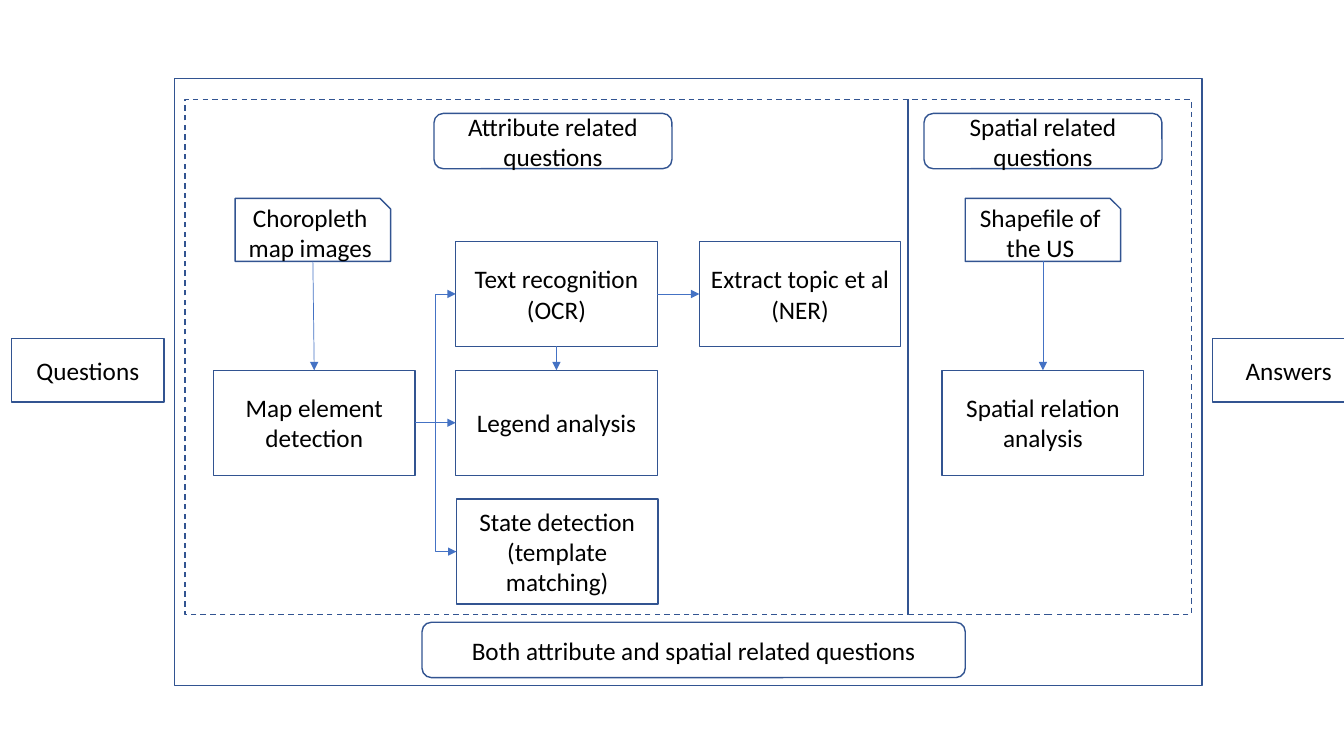
from dataclasses import dataclass

from lxml import etree
from pptx import Presentation
from pptx import util as u
from pptx.dml.color import RGBColor
from pptx.enum import dml, shapes, text
from pptx.oxml.ns import qn


@dataclass(frozen=True)
class Theme:
    font: str = "Calibri"
    size: float = 18
    ink: RGBColor = RGBColor.from_string("000000")
    outline: RGBColor = RGBColor.from_string("325491")
    arrow: RGBColor = RGBColor.from_string("4472C4")
    outline_width: float = 1
    arrow_width: float = 0.5


TOP, LEFT, BOTTOM, RIGHT = range(4)  # connection sites
RECT = shapes.MSO_SHAPE.RECTANGLE
ROUNDED = shapes.MSO_SHAPE.ROUNDED_RECTANGLE
SNIPPED = shapes.MSO_SHAPE.SNIP_1_RECTANGLE
STRAIGHT = shapes.MSO_CONNECTOR.STRAIGHT
ELBOW = shapes.MSO_CONNECTOR.ELBOW


class Diagram:
    def __init__(self, slide, theme):
        self.slide, self.theme = slide, theme

    def frame(self, left, top, width, height, kind=RECT, dashed=False):
        area = map(u.Pt, (left, top, width, height))
        shape = self.slide.shapes.add_shape(kind, *area)
        shape.shadow.inherit = False
        shape.fill.background()
        shape.line.color.rgb = self.theme.outline
        shape.line.width = u.Pt(self.theme.outline_width)
        if dashed:
            shape.line.dash_style = dml.MSO_LINE.DASH
        return shape

    def box(self, label, left, top, width, height, kind=RECT):
        shape = self.frame(left, top, width, height, kind)
        frame = shape.text_frame
        frame.word_wrap = True
        frame.vertical_anchor = text.MSO_ANCHOR.MIDDLE
        frame.text = label
        for paragraph in frame.paragraphs:
            paragraph.alignment = text.PP_ALIGN.CENTER
            for run in paragraph.runs:
                run.font.name = self.theme.font
                run.font.size = u.Pt(self.theme.size)
                run.font.color.rgb = self.theme.ink
        return shape

    def arrow(self, source, source_site, target, target_site, kind=STRAIGHT):
        link = self.slide.shapes.add_connector(kind, 0, 0, 0, 0)
        link.begin_connect(source, source_site)
        link.end_connect(target, target_site)
        link.line.color.rgb = self.theme.arrow
        link.line.width = u.Pt(self.theme.arrow_width)
        line = link.line._get_or_add_ln()
        etree.SubElement(line, qn("a:tailEnd"), type="triangle")
        etree.SubElement(link._element.spPr, qn("a:effectLst"))


deck = Presentation()
deck.slide_width, deck.slide_height = u.Pt(960), u.Pt(540)
diagram = Diagram(deck.slides.add_slide(deck.slide_layouts[6]), Theme())

# Processing steps on a common row grid
STEP = (144, 75)
upper, middle, lower = (172.5 + 92 * row for row in range(3))
detect_x, read_x, extract_x, spatial_x = 152.5, 325.5, 499.5, 673
map_detection = diagram.box("Map element detection", detect_x, middle, *STEP)
ocr = diagram.box("Text recognition\n(OCR)", read_x, upper, *STEP)
ner = diagram.box("Extract topic et al\n(NER)", extract_x, upper, *STEP)
legend = diagram.box("Legend analysis", read_x, middle, *STEP)
state_detection = diagram.box(
    "State detection\n(template matching)", read_x + 0.5, lower, *STEP)
spatial_analysis = diagram.box(
    "Spatial relation analysis", spatial_x, middle, *STEP)

# Input data
DATA_TOP, DATA = 141.75, (111, 45)
map_images = diagram.box(
    "Choropleth map images", 168, DATA_TOP, *DATA, SNIPPED)
shapefile = diagram.box("Shapefile of the US", 689.5, DATA_TOP, *DATA, SNIPPED)

# Flow between the steps
diagram.arrow(map_detection, RIGHT, ocr, LEFT, ELBOW)
diagram.arrow(map_images, BOTTOM, map_detection, TOP)
diagram.arrow(shapefile, BOTTOM, spatial_analysis, TOP)
diagram.arrow(ocr, RIGHT, ner, LEFT)
diagram.arrow(map_detection, RIGHT, legend, LEFT)
diagram.arrow(map_detection, RIGHT, state_detection, LEFT, ELBOW)
diagram.arrow(ocr, BOTTOM, legend, TOP)

# Question types
TITLE_TOP, TITLE = 81, (170, 39.5)
diagram.box("Attribute related questions", 310, TITLE_TOP, *TITLE, ROUNDED)
diagram.box("Spatial related questions", 660, TITLE_TOP, *TITLE, ROUNDED)
diagram.box("Both attribute and spatial related questions",
            301.5, 444.5, 388, 39.5, ROUNDED)

# Dashed areas side by side inside the outer frame
AREA_TOP, AREA_HEIGHT, DIVIDER = 71, 368, 648.5
diagram.frame(132, AREA_TOP, DIVIDER - 132, AREA_HEIGHT, dashed=True)
diagram.frame(DIVIDER, AREA_TOP, 202.5, AREA_HEIGHT, dashed=True)
diagram.frame(124.75, 56, 734, 433.5)

# Input and output of the system
for label, left in (("Questions", 8.25), ("Answers", 866)):
    diagram.box(label, left, 241.75, 109, 45.5)

deck.save("out.pptx")
